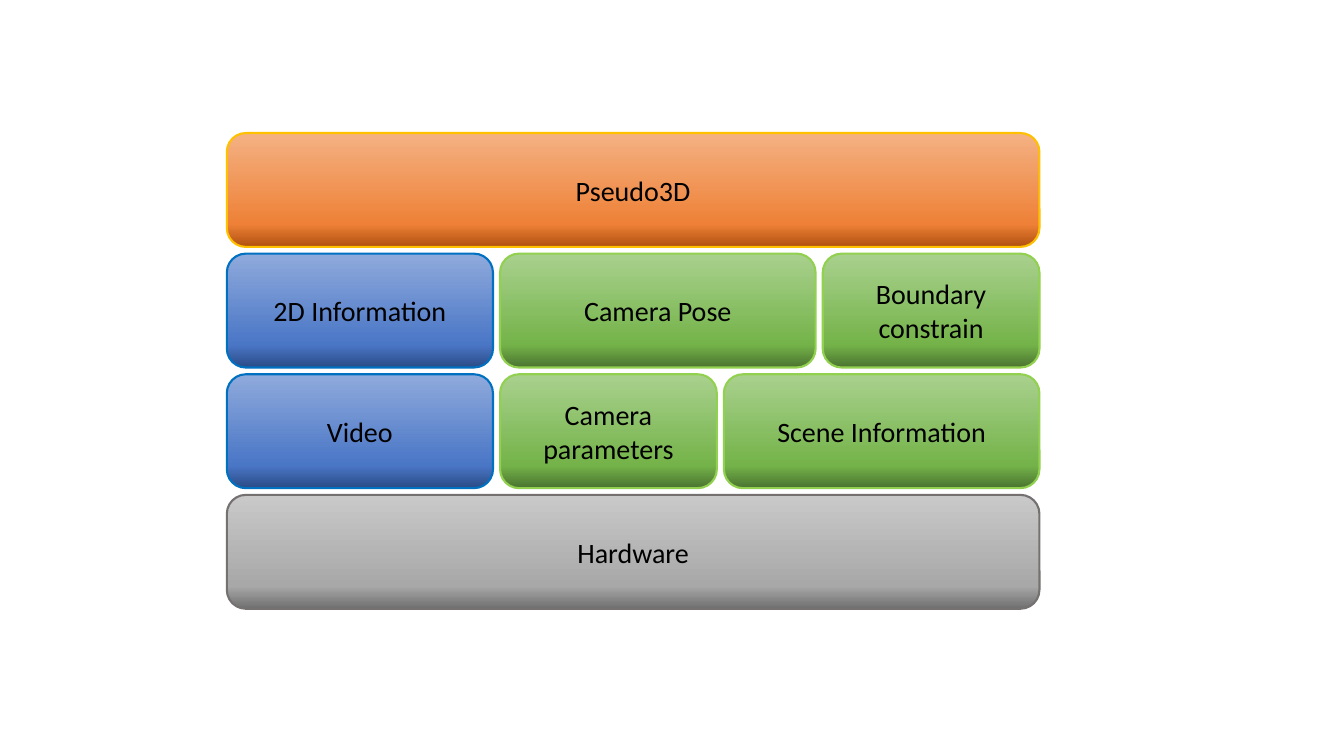
import copy

import pptx
import pptx.dml.color
import pptx.enum.shapes
import pptx.enum.text
import pptx.oxml.ns
import pptx.util

Inches = pptx.util.Inches
RGB = pptx.dml.color.RGBColor.from_string

# Layers from top to bottom: (label, width in inches, style)
LAYERS = [
    [("Pseudo3D", 8.06, "orange")],
    [("2D Information", 2.64, "blue"), ("Camera Pose", 3.13, "green"),
     ("Boundary constrain", 2.15, "green")],
    [("Video", 2.64, "blue"), ("Camera parameters", 2.15, "green"),
     ("Scene Information", 3.13, "green")],
    [("Hardware", 8.06, "gray")],
]

# Dark, middle and light gradient colours, then the outline
COLORS = {
    "orange": ("B0500F", "EE8137", "F4B183", "FFC000"),
    "blue": ("2A4B86", "4A76C6", "8FAADC", "0070C0"),
    "green": ("4B7430", "74B349", "A9D18E", "92D050"),
    "gray": ("6F6F6F", "A8A8A8", "C9C9C9", "767171"),
    "text": "000000",
}
STOPS = (0, 0.2, 1)

LEFT, FIRST_TOP, LAST_TOP = 2.25, 1.32, 4.91
HEIGHT, GAP = 1.13, 0.07
PITCH = (LAST_TOP - FIRST_TOP) / (len(LAYERS) - 1)


def fill_gradient(sp, colors):
    """Blend the three colours upwards from the bottom edge."""
    sp.fill.gradient()
    sp.fill.gradient_angle = 90
    last = sp.element.findall(".//" + pptx.oxml.ns.qn("a:gs"))[-1]
    last.addnext(copy.deepcopy(last))
    for stop, position, color in zip(sp.fill.gradient_stops, STOPS, colors):
        stop.position = position
        stop.color.rgb = RGB(color)


def add_block(s, x, y, width, label, style):
    sp = s.shapes.add_shape(
        pptx.enum.shapes.MSO_SHAPE.ROUNDED_RECTANGLE,
        Inches(x), Inches(y), Inches(width), Inches(HEIGHT))
    sp.shadow.inherit = False
    *gradient, outline = COLORS[style]
    fill_gradient(sp, gradient)
    sp.line.color.rgb = RGB(outline)
    sp.line.width = pptx.util.Pt(1.5)

    # Centred label
    tf = sp.text_frame
    tf.word_wrap = True
    tf.vertical_anchor = pptx.enum.text.MSO_ANCHOR.MIDDLE
    p = tf.paragraphs[0]
    p.alignment = pptx.enum.text.PP_ALIGN.CENTER
    r = p.add_run()
    r.text = label
    r.font.name = "Calibri"
    r.font.size = pptx.util.Pt(20)
    r.font.color.rgb = RGB(COLORS["text"])


def main():
    prs = pptx.Presentation()
    prs.slide_width, prs.slide_height = Inches(13.33), Inches(7.5)
    s = prs.slides.add_slide(prs.slide_layouts[6])

    # Stack the layers, filling each from left to right
    for row, blocks in enumerate(LAYERS):
        x = LEFT
        for label, width, style in blocks:
            add_block(s, x, FIRST_TOP + row * PITCH, width, label, style)
            x += width + GAP

    prs.save("out.pptx")


if __name__ == "__main__":
    main()
